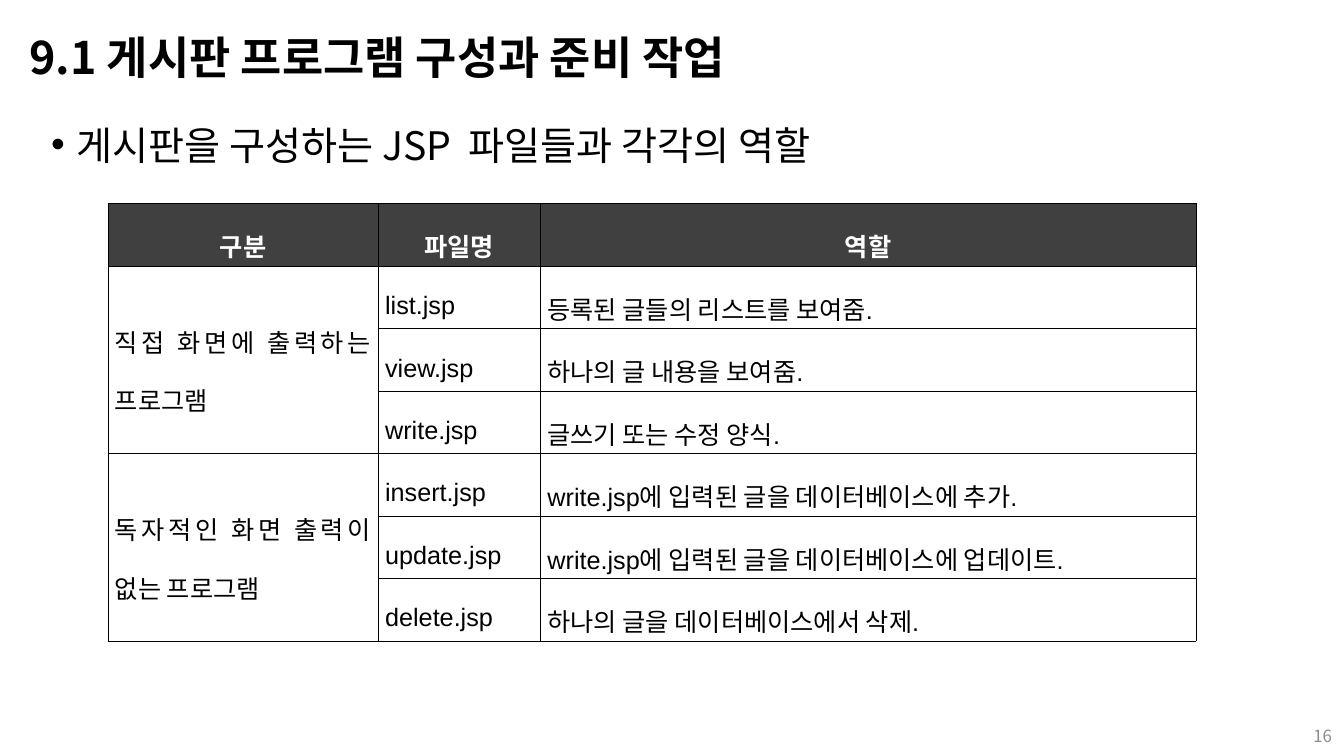
from lxml import etree
from pptx import Presentation
from pptx.dml.color import RGBColor
from pptx.enum.text import MSO_ANCHOR, MSO_AUTO_SIZE, PP_ALIGN
from pptx.oxml.ns import qn
from pptx.util import Inches, Pt

TITLE = "9.1 게시판 프로그램 구성과 준비 작업"
BULLET = "게시판을 구성하는 JSP  파일들과 각각의 역할"
PAGE_NUMBER = "16"
HEADER = ("구분", "파일명", "역할")
GROUPS = [
    ("직접 화면에 출력하는 프로그램", [
        ("list.jsp", "등록된 글들의 리스트를 보여줌."),
        ("view.jsp", "하나의 글 내용을 보여줌."),
        ("write.jsp", "글쓰기 또는 수정 양식."),
    ]),
    ("독자적인 화면 출력이 없는 프로그램", [
        ("insert.jsp", "write.jsp에 입력된 글을 데이터베이스에 추가."),
        ("update.jsp", "write.jsp에 입력된 글을 데이터베이스에 업데이트."),
        ("delete.jsp", "하나의 글을 데이터베이스에서 삭제."),
    ]),
]

KOREAN_FONT, LATIN_FONT = "Noto Sans CJK KR", "Arial"
BLACK = RGBColor(0x00, 0x00, 0x00)
WHITE = RGBColor(0xFF, 0xFF, 0xFF)
DARK = RGBColor(0x40, 0x40, 0x40)
GRAY = RGBColor(0x8C, 0x8C, 0x8C)
CENTER, RIGHT, JUSTIFY = PP_ALIGN.CENTER, PP_ALIGN.RIGHT, PP_ALIGN.JUSTIFY
MIDDLE, NO_AUTOFIT = MSO_ANCHOR.MIDDLE, MSO_AUTO_SIZE.NONE

COLUMN_WIDTHS = (2.68, 1.61, 6.5)
ROW_HEIGHT = 0.62
BORDER = Pt(0.28)


def style(para, size, color, bold=False, latin=KOREAN_FONT):
    """Set the paragraph's font for both scripts, with pair kerning off."""
    font = para.font
    font.name, font.size, font.bold = latin, Pt(size), bold
    font.color.rgb = color
    properties = para._p.pPr.find(qn("a:defRPr"))
    properties.set("kern", "0")
    east_asian = etree.Element(qn("a:ea"), typeface=KOREAN_FONT)
    properties.find(qn("a:latin")).addnext(east_asian)


def add_bullet(para):
    properties = para._p.get_or_add_pPr()
    properties.set("marL", str(Inches(0.25)))
    properties.set("indent", str(Inches(-0.25)))
    etree.SubElement(properties, qn("a:buFont"), typeface=LATIN_FONT)
    etree.SubElement(properties, qn("a:buChar"), char="•")


def add_text(slide, text, left, top, width, height):
    box = slide.shapes.add_textbox(*map(Inches, (left, top, width, height)))
    box.text_frame.word_wrap = True
    box.text_frame.text = text
    return box.text_frame


def add_borders(cell):
    properties = cell._tc.get_or_add_tcPr()
    for side in ("lnL", "lnR", "lnT", "lnB"):
        line = etree.SubElement(properties, qn(f"a:{side}"), w=str(BORDER))
        fill = etree.SubElement(line, qn("a:solidFill"))
        etree.SubElement(fill, qn("a:srgbClr"), val=str(BLACK))


def format_cell(cell, is_header):
    add_borders(cell)
    cell.fill.solid()
    cell.fill.fore_color.rgb = DARK if is_header else WHITE
    cell.vertical_anchor = MIDDLE
    cell.margin_left = cell.margin_right = Inches(0.07)
    cell.margin_top = cell.margin_bottom = Inches(0.02)
    para = cell.text_frame.paragraphs[0]
    para.alignment = CENTER if is_header else JUSTIFY
    para.line_spacing = 1.6
    style(para, 18, WHITE if is_header else BLACK, is_header, LATIN_FONT)


def add_role_table(slide):
    rows = [HEADER]
    for _, files in GROUPS:
        rows += [("", *file) for file in files]
    table = slide.shapes.add_table(
        len(rows), len(HEADER), Inches(1.07), Inches(2.02),
        Inches(sum(COLUMN_WIDTHS)), Inches(ROW_HEIGHT * len(rows))).table
    table.first_row = table.horz_banding = False
    for column, width in zip(table.columns, COLUMN_WIDTHS):
        column.width = Inches(width)
    for row_index, row in enumerate(rows):
        for column_index, text in enumerate(row):
            cell = table.cell(row_index, column_index)
            cell.text = text
            format_cell(cell, row_index == 0)
    first = 1
    for group, files in GROUPS:
        last = first + len(files) - 1
        group_cell = table.cell(first, 0)
        group_cell.merge(table.cell(last, 0))
        group_cell.text_frame.paragraphs[0].add_run().text = group
        first = last + 1


def main():
    deck = Presentation()
    deck.slide_width, deck.slide_height = Inches(13.33), Inches(7.5)
    slide = deck.slides.add_slide(deck.slide_layouts[5])

    title = slide.shapes.title
    title.left, title.top = Inches(0.19), Inches(0.19)
    title.width, title.height = Inches(12.93), Inches(0.81)
    frame = title.text_frame
    frame.text = TITLE
    frame.auto_size, frame.vertical_anchor = NO_AUTOFIT, MIDDLE
    para = frame.paragraphs[0]
    para.alignment, para.line_spacing = PP_ALIGN.LEFT, 0.9
    style(para, 32, BLACK, bold=True)

    para = add_text(slide, BULLET, 0.41, 1.15, 12.51, 0.7).paragraphs[0]
    add_bullet(para)
    style(para, 28, BLACK)

    add_role_table(slide)

    frame = add_text(slide, PAGE_NUMBER, 12.81, 7.1, 0.5, 0.4)
    frame.vertical_anchor = MIDDLE
    para = frame.paragraphs[0]
    para.alignment = RIGHT
    style(para, 12, GRAY)

    deck.save("out.pptx")


if __name__ == "__main__":
    main()
